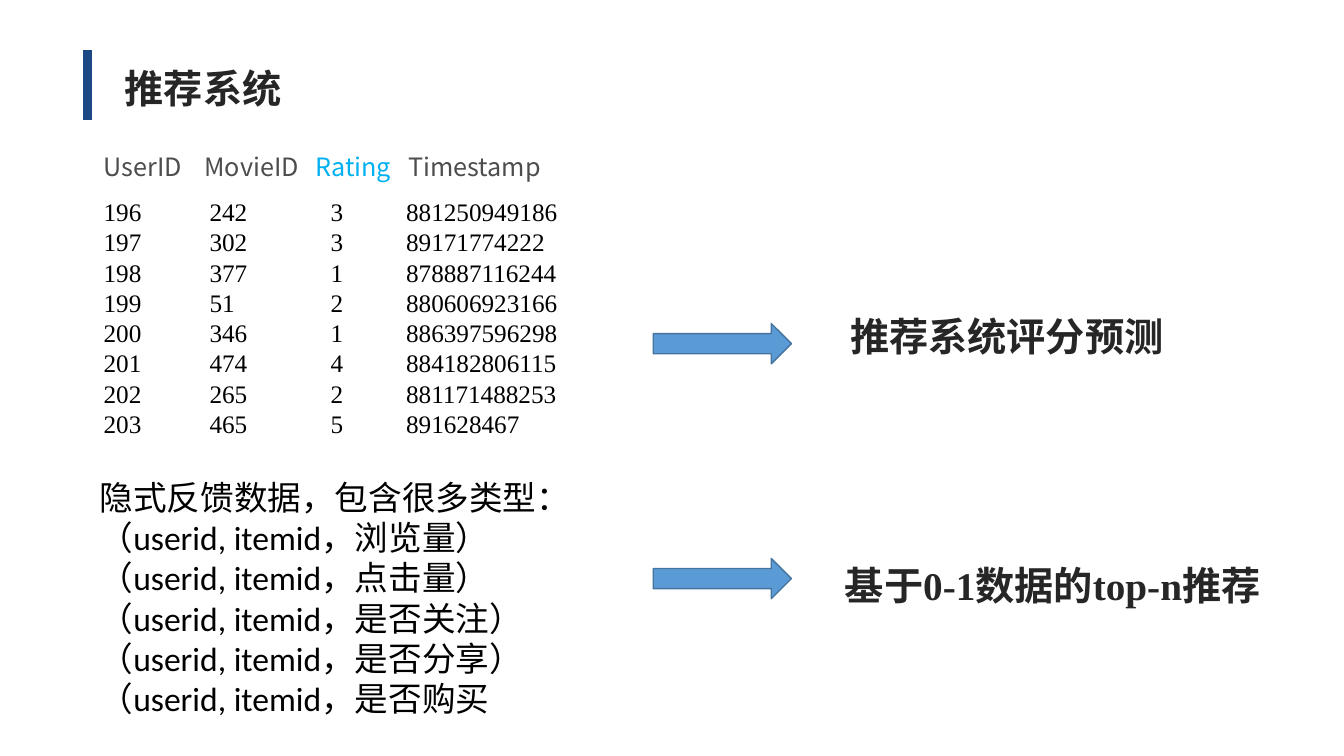
from lxml.etree import SubElement
from pptx import Presentation
from pptx.dml.color import RGBColor
from pptx.enum.shapes import MSO_CONNECTOR as Connector, MSO_SHAPE as Shape
from pptx.enum.text import PP_ALIGN as Align
from pptx.oxml.ns import qn
from pptx.util import Inches, Pt

BLACK = RGBColor(0x00, 0x00, 0x00)
HEADING = RGBColor(0x26, 0x26, 0x26)
GRAY = RGBColor(0x4D, 0x4D, 0x4D)
CYAN = RGBColor(0x00, 0xB0, 0xF0)
NAVY = RGBColor(0x1C, 0x48, 0x85)
ARROW_FILL = RGBColor(0x5B, 0x9B, 0xD5)
ARROW_LINE = RGBColor(0x43, 0x73, 0x9E)
SERIF, SANS, BODY = "Times New Roman", "Noto Sans CJK SC", "Calibri"

FIRST_USER = 196
COLUMNS = ["UserID", "MovieID", "Rating", "Timestamp"]
HEADER_STOPS = [1.0, 2.1, 3.02]
RATING_STOPS = [1.05, 2.25, 3.0]
RATINGS = [
    (242, 3, "881250949186"),
    (302, 3, "89171774222"),
    (377, 1, "878887116244"),
    (51, 2, "880606923166"),
    (346, 1, "886397596298"),
    (474, 4, "884182806115"),
    (265, 2, "881171488253"),
    (465, 5, "891628467"),
]
FEEDBACK = [
    "隐式反馈数据，包含很多类型：",
    "（userid, itemid，浏览量）",
    "（userid, itemid，点击量）",
    "（userid, itemid，是否关注）",
    "（userid, itemid，是否分享）",
    "（userid, itemid，是否购买",
]


def set_tab_stops(paragraph, stops):
    tab_list = SubElement(paragraph._p.get_or_add_pPr(), qn("a:tabLst"))
    for stop in stops:
        SubElement(tab_list, qn("a:tab"), pos=str(Inches(stop)), algn="l")


def add_text(slide, box, lines, font, size, color, bold=False, align=Align.LEFT, stops=()):
    frame = slide.shapes.add_textbox(*map(Inches, box)).text_frame
    frame.word_wrap = True
    frame.text = "\n".join(lines)
    for paragraph in frame.paragraphs:
        paragraph.alignment = align
        if stops:
            set_tab_stops(paragraph, stops)
        paragraph.font.name = font
        paragraph.font.size = Pt(size)
        paragraph.font.bold = bold
        paragraph.font.color.rgb = color
    return frame


def add_heading(slide, box, text):
    add_text(slide, box, [text], SERIF, 28, HEADING, bold=True, align=Align.CENTER)


def add_title(slide, left, top, height):
    bar = slide.shapes.add_connector(
        Connector.STRAIGHT, *map(Inches, (left, top, left, top + height)))
    bar.line.color.rgb = NAVY
    bar.line.width = Pt(6)
    SubElement(bar._element.spPr, qn("a:effectLst"))
    add_heading(slide, (left - 0.07, top + 0.09, 2.43, 0.57), "推荐系统")


def add_ratings(slide, left, top, width):
    header = add_text(slide, (left, top, width, 0.4), [""], SANS, 18, GRAY,
                      stops=HEADER_STOPS).paragraphs[0]
    for index, name in enumerate(COLUMNS):
        run = header.add_run()
        run.text = "\t" + name if index else name
        run.font.color.rgb = CYAN if name == "Rating" else GRAY
    rows = [f"{user}\t{movie}\t{rating}\t{timestamp}"
            for user, (movie, rating, timestamp) in enumerate(RATINGS, FIRST_USER)]
    add_text(slide, (left, top + 0.45, width, 2.52), rows, SERIF, 18, BLACK,
             stops=RATING_STOPS)


def add_outcome(slide, arrow_top, box, text):
    arrow = slide.shapes.add_shape(
        Shape.RIGHT_ARROW, *map(Inches, (6.48, arrow_top, 1.37, 0.4)))
    arrow.shadow.inherit = False
    arrow.fill.solid()
    arrow.fill.fore_color.rgb = ARROW_FILL
    arrow.line.color.rgb = ARROW_LINE
    arrow.line.width = Pt(1)
    add_heading(slide, box, text)


def main():
    presentation = Presentation()
    presentation.slide_width = Inches(13.33)
    presentation.slide_height = Inches(7.5)
    slide = presentation.slides.add_slide(presentation.slide_layouts[6])
    add_title(slide, 0.87, 0.5, 0.69)
    add_ratings(slide, 0.93, 1.45, 6.5)
    add_outcome(slide, 3.21, (8.26, 3.05, 3.45, 0.57), "推荐系统评分预测")
    add_text(slide, (0.89, 4.68, 6.67, 2.83), FEEDBACK, BODY, 24, BLACK)
    add_outcome(slide, 5.54, (7.85, 5.52, 5.18, 0.57), "基于0-1数据的top-n推荐")
    presentation.save("out.pptx")


if __name__ == "__main__":
    main()
